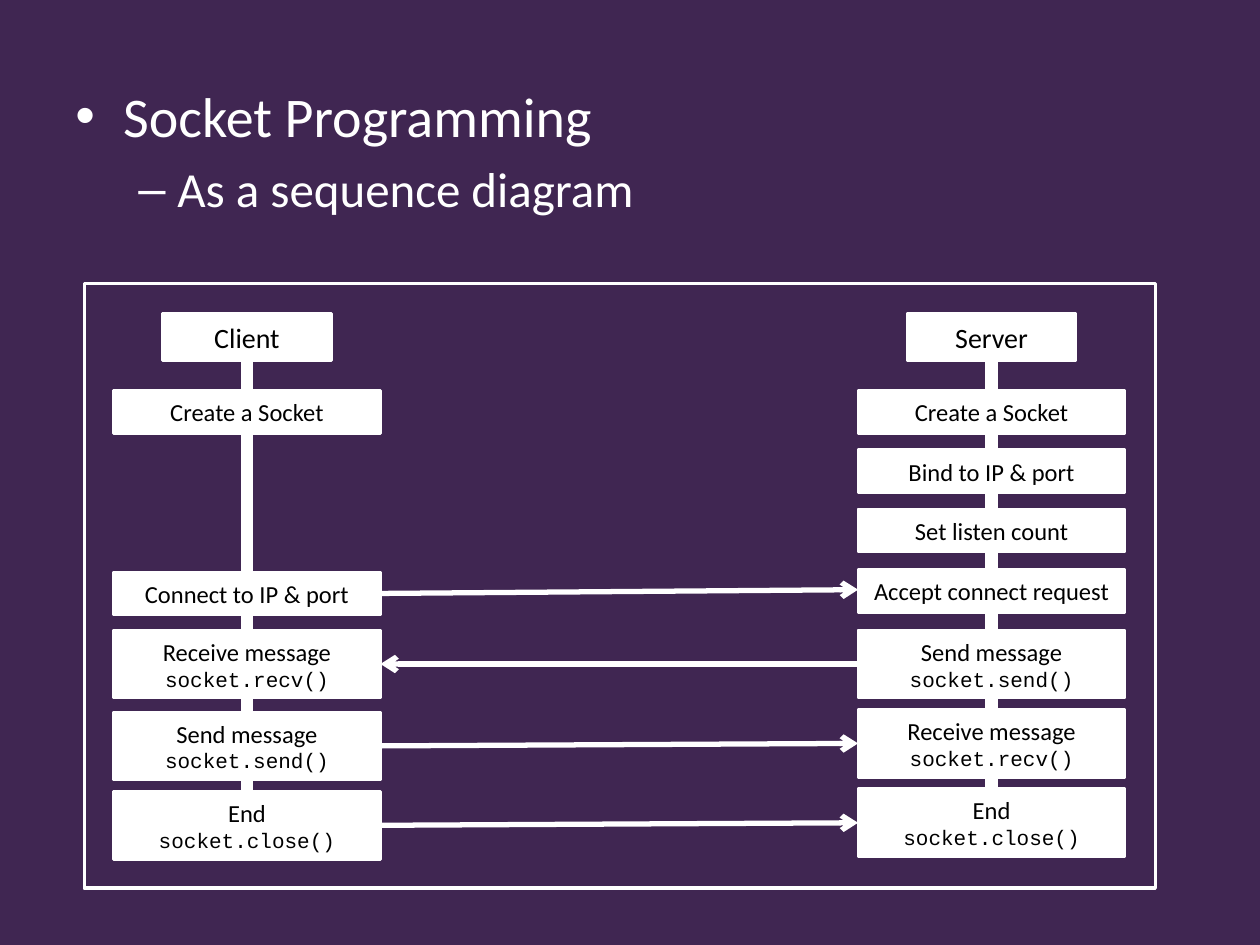
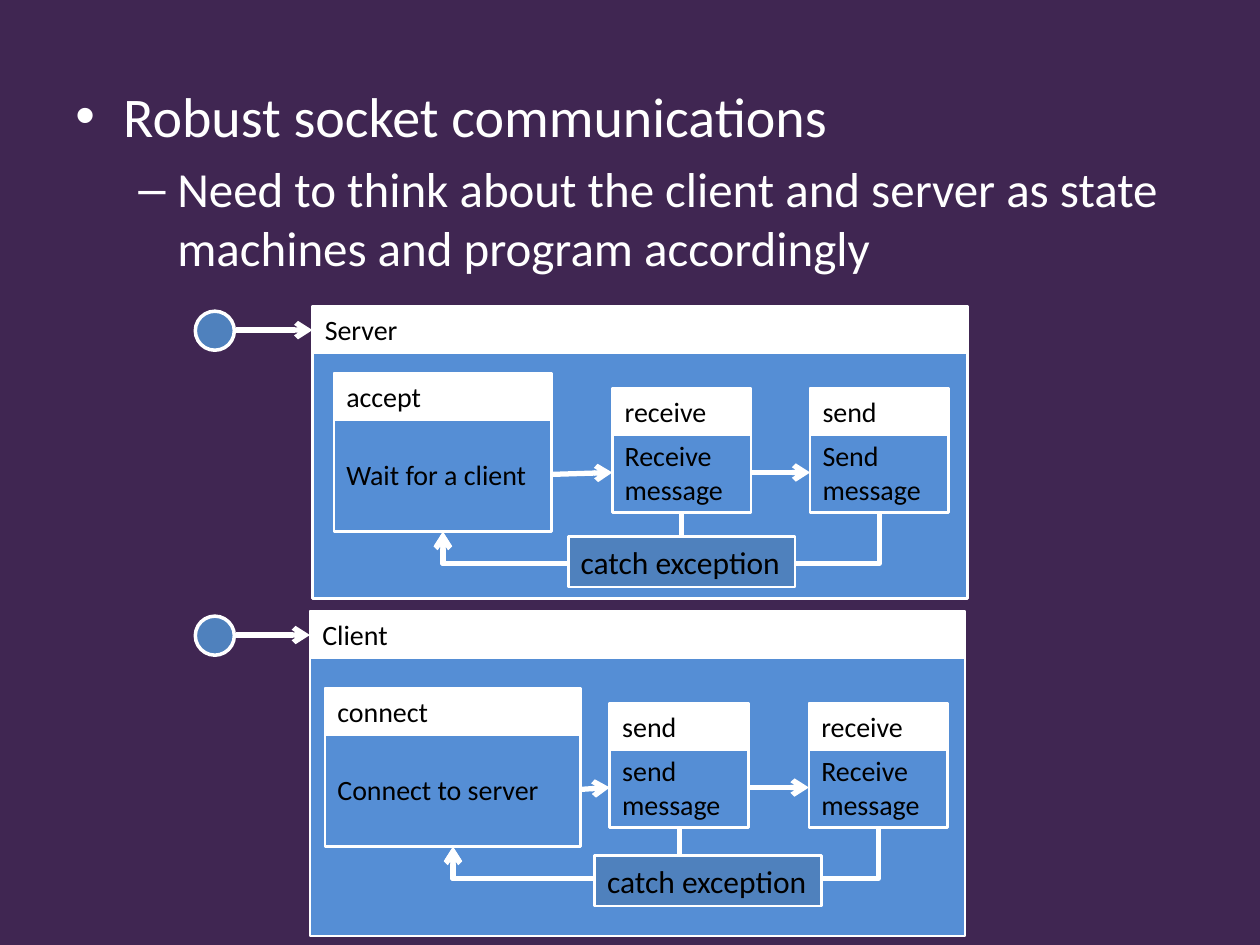
from lxml import etree
from pptx import Presentation
from pptx.dml.color import RGBColor
from pptx.enum.shapes import MSO_CONNECTOR, MSO_SHAPE
from pptx.enum.text import MSO_ANCHOR, PP_ALIGN
from pptx.oxml.ns import qn
from pptx.util import Inches, Pt

RECTANGLE, OVAL = MSO_SHAPE.RECTANGLE, MSO_SHAPE.OVAL
STRAIGHT, ELBOW = MSO_CONNECTOR.STRAIGHT, MSO_CONNECTOR.ELBOW
LEFT, CENTER = PP_ALIGN.LEFT, PP_ALIGN.CENTER
MIDDLE = MSO_ANCHOR.MIDDLE

color = RGBColor.from_string
PURPLE, WHITE, BLACK = "402652", "FFFFFF", "000000"
STATE_BLUE, ACCENT_BLUE = "558ED5", "4F81BD"
TEXT_FONT, CODE_FONT = "Calibri", "Courier New"


def add_box(page, left, top, width, height, text="", fill=WHITE, outline=1.5,
            size=16, align=LEFT, wrap=True, kind=RECTANGLE):
    box = page.shapes.add_shape(kind, Inches(left), Inches(top), Inches(width), Inches(height))
    box.shadow.inherit = False
    if fill:
        box.fill.solid()
        box.fill.fore_color.rgb = color(fill)
    else:
        box.fill.background()
    box.line.color.rgb = color(WHITE)
    box.line.width = Pt(outline)
    if text:
        frame = box.text_frame
        frame.word_wrap = wrap
        frame.vertical_anchor = MIDDLE
        for index, line in enumerate(text.split("\n")):
            para = frame.paragraphs[0] if index == 0 else frame.add_paragraph()
            para.alignment = align
            span = para.add_run()
            span.text = line
            is_code = line.endswith("()")
            span.font.name = CODE_FONT if is_code else TEXT_FONT
            span.font.size = Pt(12 if is_code else size)
            span.font.color.rgb = color(BLACK)


def add_arrow(page, start_x, start_y, end_x, end_y, drop=0):
    arrow = page.shapes.add_connector(ELBOW if drop else STRAIGHT, Inches(start_x),
                                      Inches(start_y), Inches(end_x), Inches(end_y))
    arrow.line.color.rgb = color(WHITE)
    arrow.line.width = Pt(3)
    properties = arrow._element.spPr
    etree.SubElement(properties.find(qn("a:ln")), qn("a:tailEnd"), type="arrow")
    etree.SubElement(properties, qn("a:effectLst"))
    if drop:
        rise, run = end_y - start_y, start_x - end_x
        frame = properties.find(qn("a:xfrm"))
        frame.attrib.clear()
        frame.set("rot", "5400000")
        arrow.left = Inches((start_x + end_x - rise) / 2)
        arrow.top = Inches((start_y + end_y - run) / 2)
        arrow.width, arrow.height = Inches(rise), Inches(run)
        guides = properties.find(qn("a:prstGeom")).find(qn("a:avLst"))
        etree.SubElement(guides, qn("a:gd"), name="adj1",
                         fmla=f"val {round(drop / rise * 100000)}")


deck = Presentation()
deck.slide_width, deck.slide_height = Inches(10), Inches(7.5)

headings = [
    ("Socket Programming", "As a sequence diagram"),
    ("Robust socket communications",
     "Need to think about the client and server as state machines and program accordingly"),
]
levels = [("•", 32, 0.38, 0.38, 0), ("–", 28, 0.81, 0.31, 5.6)]
pages = []
for heading in headings:
    page = deck.slides.add_slide(deck.slide_layouts[6])
    page.background.fill.solid()
    page.background.fill.fore_color.rgb = color(PURPLE)
    frame = page.shapes.add_textbox(Inches(0.5), Inches(0.6), Inches(9), Inches(1.6)).text_frame
    frame.word_wrap = True
    for index, (line, level) in enumerate(zip(heading, levels)):
        bullet, size, margin, hanging, space = level
        para = frame.paragraphs[0] if index == 0 else frame.add_paragraph()
        layout = para._p.get_or_add_pPr()
        layout.set("marL", str(Inches(margin)))
        layout.set("indent", str(-Inches(hanging)))
        etree.SubElement(layout, qn("a:buFont"), typeface="Arial")
        etree.SubElement(layout, qn("a:buChar"), char=bullet)
        para.space_before = Pt(space)
        span = para.add_run()
        span.text = line
        span.font.name = TEXT_FONT
        span.font.size = Pt(size)
        span.font.color.rgb = color(WHITE)
    pages.append(page)

sequence_page, state_page = pages

lane_width, step_height, call_height = 2.12, 0.34, 0.54
client_left, server_left = 0.9, 6.81
lanes = [
    ("Client", client_left, [
        (3.1, "Create a Socket"),
        (4.54, "Connect to IP & port"),
        (5, "Receive message\nsocket.recv()"),
        (5.65, "Send message\nsocket.send()"),
        (6.28, "End\nsocket.close()"),
    ]),
    ("Server", server_left, [
        (3.1, "Create a Socket"),
        (3.57, "Bind to IP & port"),
        (4.04, "Set listen count"),
        (4.52, "Accept connect request"),
        (5, "Send message\nsocket.send()"),
        (5.63, "Receive message\nsocket.recv()"),
        (6.26, "End\nsocket.close()"),
    ]),
]
for name, left, steps in lanes:
    add_box(sequence_page, left + 1.02, 2.81, 0.08, 3.87)
    add_box(sequence_page, left + 0.39, 2.49, 1.34, 0.37, name, align=CENTER)
    for top, text in steps:
        height = call_height if "\n" in text else step_height
        add_box(sequence_page, left, top, lane_width, height, text, size=14, align=CENTER)

client_edge = client_left + lane_width
for client_y, server_y in [(4.71, 4.68), (5.92, 5.9), (6.55, 6.53)]:
    add_arrow(sequence_page, client_edge, client_y, server_left, server_y)
add_arrow(sequence_page, server_left, 5.27, client_edge, 5.27)
add_box(sequence_page, 0.67, 2.25, 8.5, 4.8, fill=None, outline=2)

machines = [
    ("Server", 2.48, 2.43, 1.99, (4.51, 4.26), [
        ("accept", "Wait for a client", 2.65, 2.96, 1.73, 0.91),
        ("receive", "Receive\nmessage", 4.86, 3.08, 1.1, 0.64),
        ("send", "Send\nmessage", 6.43, 3.08, 1.1, 0.64),
    ]),
    ("Client", 2.46, 4.85, 2.25, (4.72, 6.79), [
        ("connect", "Connect to server", 2.58, 5.46, 2.03, 0.91),
        ("send", "send\nmessage", 4.84, 5.58, 1.1, 0.64),
        ("receive", "Receive\nmessage", 6.42, 5.58, 1.1, 0.64),
    ]),
]
title_height, body_offset = 0.37, 0.35
for name, left, top, body_height, catch_place, states in machines:
    add_box(state_page, left, top + 0.33, 5.2, body_height, fill=STATE_BLUE)
    add_box(state_page, left, top, 5.2, title_height, name)
    add_box(state_page, 1.55, top + 0.04, 0.31, 0.31, fill=ACCENT_BLUE, outline=2, kind=OVAL)
    add_arrow(state_page, 1.87, top + 0.19, left, top + 0.19)

    exits = []
    for title, action, state_left, state_top, width, height in states:
        body_top = state_top + body_offset
        add_box(state_page, state_left, body_top, width, height, action, fill=STATE_BLUE)
        add_box(state_page, state_left, state_top, width, title_height, title)
        exits.append((state_left, state_left + width, body_top + height / 2, body_top + height))

    for origin, target in zip(exits, exits[1:]):
        add_arrow(state_page, origin[1], origin[2], target[0], target[2])
    first_left, first_right, _, first_bottom = exits[0]
    for state_left, state_right, _, state_bottom in exits[1:]:
        add_arrow(state_page, (state_left + state_right) / 2, state_bottom,
                  (first_left + first_right) / 2, first_bottom, drop=0.4)
    add_box(state_page, *catch_place, 1.8, 0.4, "catch exception",
            fill=ACCENT_BLUE, size=18, wrap=False)

deck.save("out.pptx")
